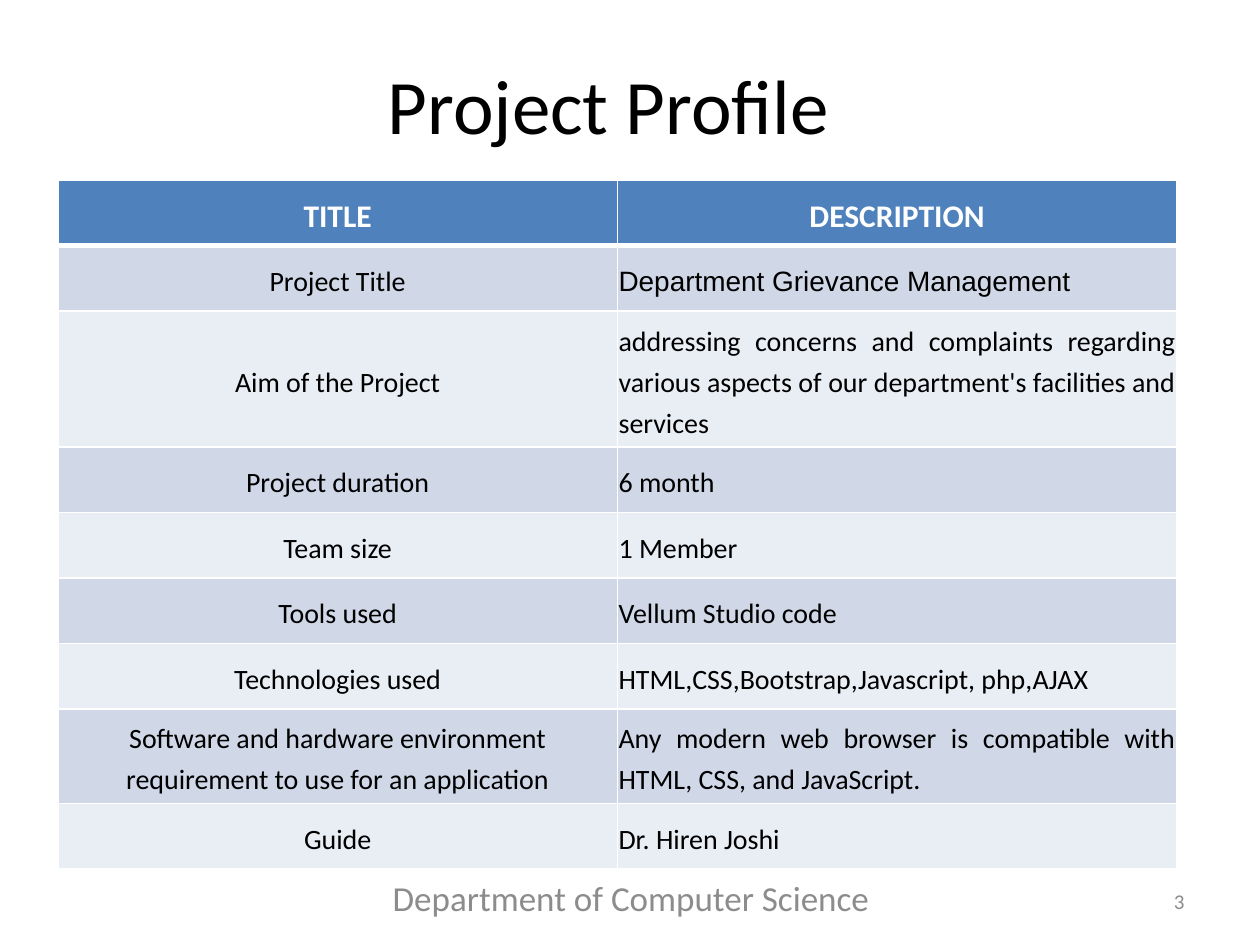
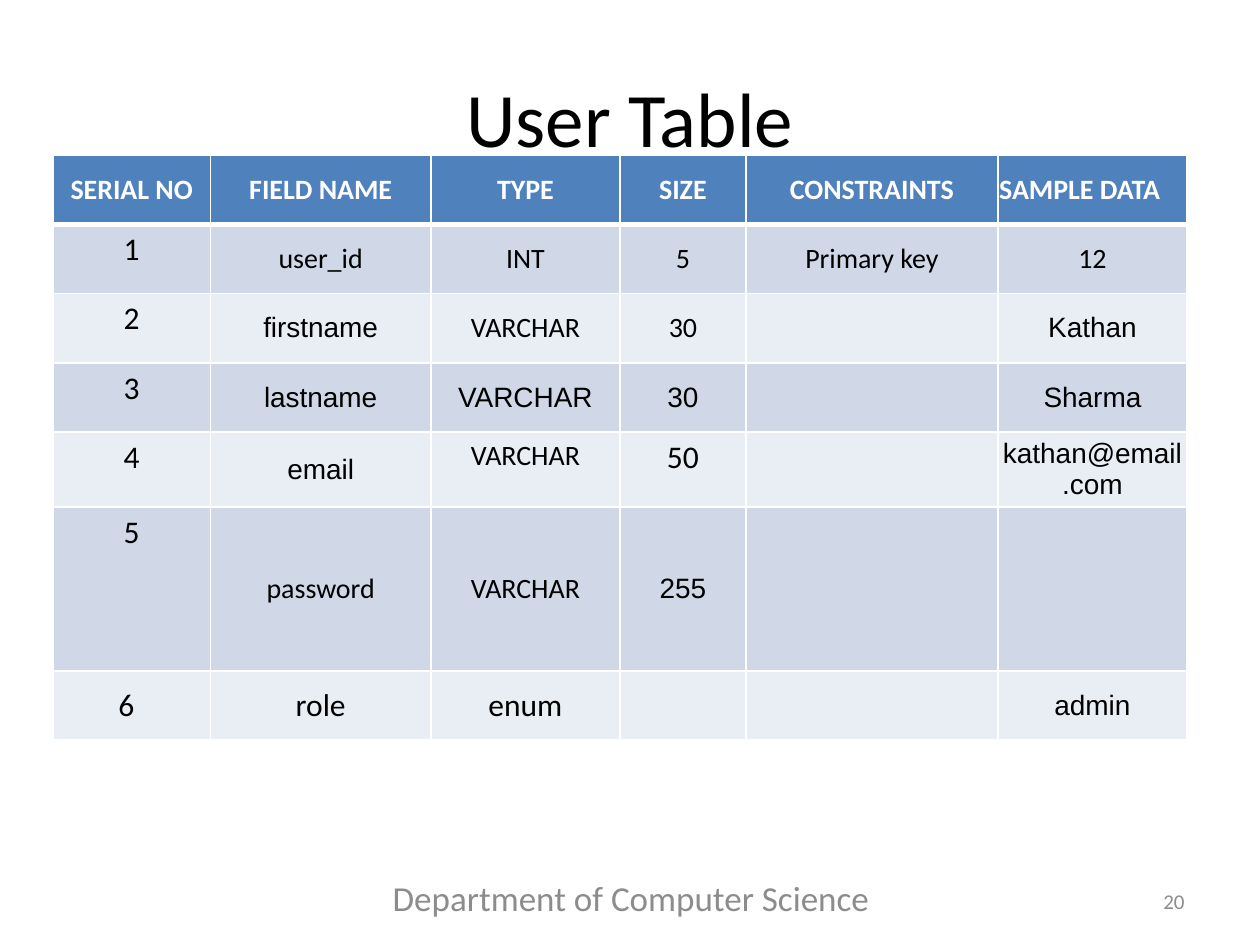
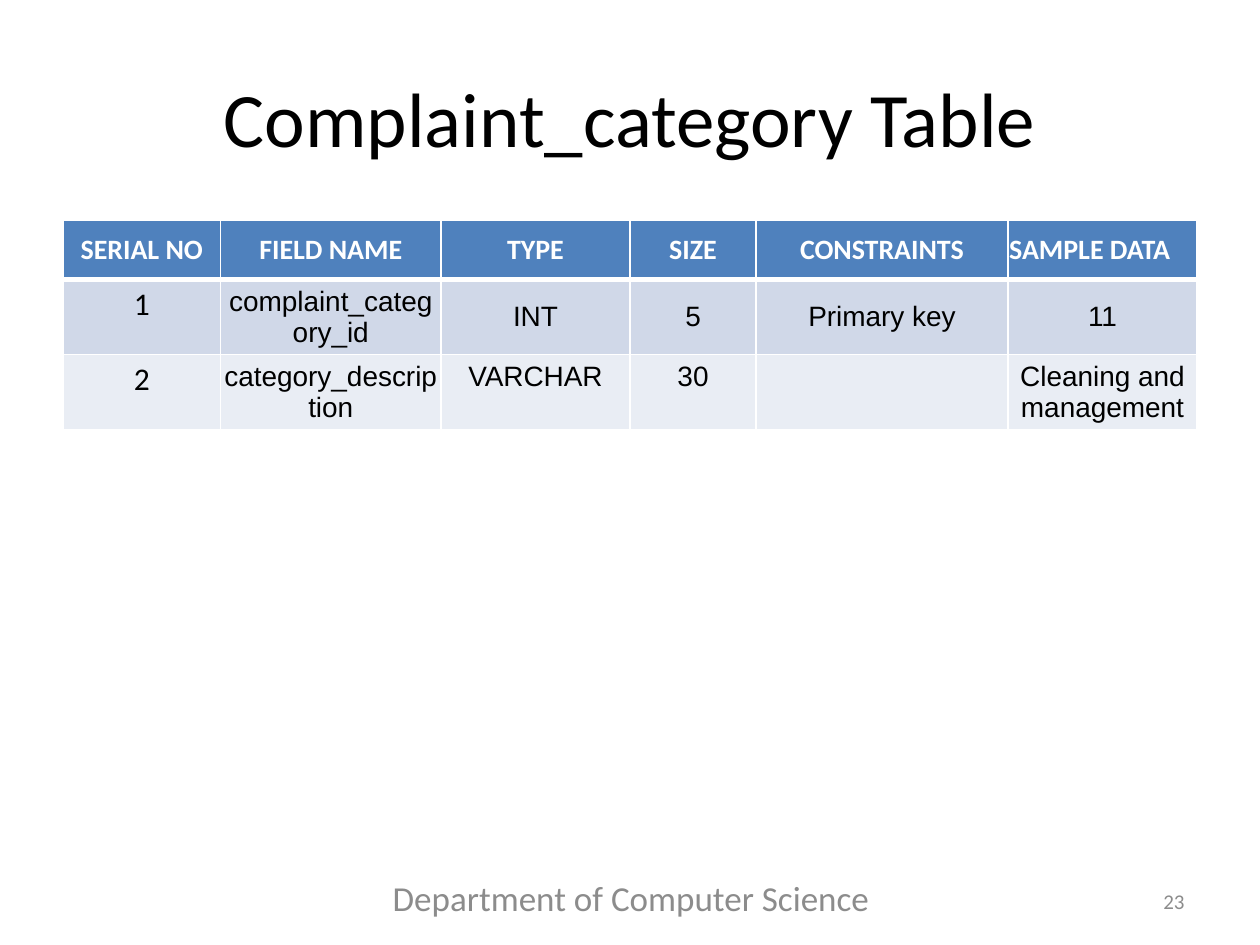
"""Build three project slides, each holding one banded table."""
from lxml.etree import SubElement
from pptx import Presentation
from pptx.dml.color import RGBColor
from pptx.enum.text import MSO_ANCHOR as ANCHOR, PP_ALIGN as ALIGN
from pptx.oxml.ns import qn
from pptx.util import Inches, Pt

BLACK = RGBColor(0x00, 0x00, 0x00)
WHITE = RGBColor(0xFF, 0xFF, 0xFF)
GREY = RGBColor(0x8C, 0x8C, 0x8C)
HEADER_BLUE = RGBColor(0x4F, 0x81, 0xBD)
BANDS = (RGBColor(0xD0, 0xD8, 0xE8), RGBColor(0xE9, 0xED, 0xF4))

FOOTER = "Department of Computer Science "
FOOTER_BOX = (2.83, 6.92, 4.42, 0.4)
NUMBER_BOX = (7.17, 6.95, 2.33, 0.4)

TIGHT = {"margin_left": Inches(0.01), "margin_right": Inches(0.01),
         "vertical_anchor": ANCHOR.MIDDLE}
TOP = {"vertical_anchor": ANCHOR.TOP}
STYLES = {
    "plain": (TIGHT, "Calibri", 16),
    "arial": (TIGHT, "Arial", 16),
    "large": (TIGHT, "Calibri", 18),
    "indented": ({**TIGHT, "margin_left": Inches(0.52)}, "Calibri", 18),
    "top": (TOP, "Calibri", 16),
    "top large": (TOP, "Calibri", 18),
    "top arial": (TOP, "Arial", 16),
}


def arial(text):
    """Mark a cell text as Arial."""
    return text, "arial"


def large(text):
    """Mark a cell text as large."""
    return text, "large"


def serial(text):
    """Mark a cell text as large and set at the top."""
    return text, "top large"


FIELD_HEADER = ["SERIAL NO", "FIELD NAME", "TYPE", "SIZE", "CONSTRAINTS", "SAMPLE DATA"]
FIELD_LAYOUT = {
    "header_size": 16,
    "line_spacing": None,
    "columns": (1.25, 1.75, 1.5, 1, 2, 1.5),
    "header_align": [ALIGN.CENTER] * 5 + [ALIGN.LEFT],
    "body_align": [ALIGN.CENTER] * 6,
}

SLIDES = [
    {
        "title": "Project Profile", "title_box": (0.33, 0.2, 9, 1.25), "number": "3",
        "corner": (0.46, 1.43), "heights": [0.52] * 9,
        "header_size": 18, "line_spacing": 1.2, "columns": (4.44, 4.44),
        "header_align": [ALIGN.CENTER] * 2,
        "body_align": [ALIGN.CENTER, ALIGN.JUSTIFY],
        "rows": [
            ["TITLE", "DESCRIPTION"],
            ["Project Title", arial("Department Grievance Management")],
            ["Aim of the Project",
             "addressing concerns and complaints regarding various aspects of "
             "our department's facilities and services"],
            ["Project duration", "6 month "],
            ["Team size", "1 Member"],
            ["Tools used", "Vellum Studio code"],
            ["Technologies used", "HTML,CSS,Bootstrap,Javascript, php,AJAX"],
            ["Software and hardware environment requirement to use for an application",
             "Any modern web browser is compatible with HTML, CSS, and JavaScript."],
            ["Guide", "Dr. Hiren Joshi"],
        ],
    },
    {
        **FIELD_LAYOUT,
        "title": "User Table", "title_box": (0.5, 0.3, 9, 1.25), "number": "20",
        "corner": (0.42, 1.23), "heights": [0.55] * 5 + [1.3, 0.55],
        "rows": [
            FIELD_HEADER,
            [serial("1"), "user_id", "INT", "5", "Primary key", "12"],
            [serial("2"), arial("firstname"), "VARCHAR", "30", "", arial("Kathan")],
            [serial("3"), arial("lastname"), arial("VARCHAR"), arial("30"), "",
             arial("Sharma")],
            [serial("4"), arial("email"), ("VARCHAR", "top"), serial("50"), "",
             arial("kathan@email.com")],
            [serial("5"), "password", "VARCHAR", arial("255"), "", ""],
            [("6", "indented"), large("role"), large("enum"), "", "", arial("admin")],
        ],
    },
    {
        **FIELD_LAYOUT,
        "title": "Complaint_category Table", "title_box": (0.5, 0.3, 9, 1.25),
        "number": "23", "corner": (0.5, 1.75), "heights": [0.47] * 3,
        "rows": [
            FIELD_HEADER,
            [serial("1"), arial("complaint_category_id"), arial("INT"), arial("5"),
             arial("Primary key"), arial("11")],
            [serial("2"), arial("category_description"), ("VARCHAR", "top arial"),
             ("30", "top arial"), "", arial("Cleaning and management")],
        ],
    },
]


def set_all(target, values):
    """Set each attribute in values on target."""
    for attribute, value in values.items():
        setattr(target, attribute, value)


def write(frame, text, align, size, color, font="Calibri", bold=False, spacing=None):
    """Write one formatted paragraph into a text frame."""
    paragraph = frame.paragraphs[0]
    set_all(paragraph, {"alignment": align, "line_spacing": spacing})
    paragraph.font.size = Pt(size)
    if text:
        run = paragraph.add_run()
        run.text = text
        set_all(run.font, {"name": font, "size": Pt(size), "bold": bold})
        run.font.color.rgb = color


def add_label(slide, box, text, align, size):
    """Add a grey footer text."""
    frame = slide.shapes.add_textbox(*map(Inches, box)).text_frame
    set_all(frame, {"word_wrap": True, "vertical_anchor": ANCHOR.MIDDLE})
    write(frame, text, align, size, GREY)


def add_borders(cell, bottom):
    """Draw white borders around a cell."""
    properties = cell._tc.get_or_add_tcPr()
    for side, width in (("L", 1), ("R", 1), ("T", 1), ("B", bottom)):
        line = SubElement(properties, qn(f"a:ln{side}"), w=str(Pt(width)))
        fill = SubElement(line, qn("a:solidFill"))
        SubElement(fill, qn("a:srgbClr"), val=str(WHITE))


def fill_cell(cell, content, is_header, band, align, spec):
    """Format one table cell and write its text."""
    text, style = (content, "plain") if isinstance(content, str) else content
    layout, font, size = STYLES[style]
    set_all(cell, layout)
    add_borders(cell, 3 if is_header else 1)
    cell.fill.solid()
    cell.fill.fore_color.rgb = HEADER_BLUE if is_header else band
    write(cell.text_frame, text, align, spec["header_size"] if is_header else size,
          WHITE if is_header else BLACK, font, is_header, spec["line_spacing"])


def add_grid(slide, spec):
    """Add the table of a slide."""
    rows, columns, heights = spec["rows"], spec["columns"], spec["heights"]
    extent = (*spec["corner"], sum(columns), sum(heights))
    table = slide.shapes.add_table(len(rows), len(columns), *map(Inches, extent)).table
    for column, width in zip(table.columns, columns):
        column.width = Inches(width)
    for index, (row, height) in enumerate(zip(rows, heights)):
        table.rows[index].height = Inches(height)
        is_header = index == 0
        aligns = spec["header_align" if is_header else "body_align"]
        for position, content in enumerate(row):
            align = ALIGN.LEFT if content == ("6", "indented") else aligns[position]
            fill_cell(table.cell(index, position), content, is_header,
                      BANDS[(index - 1) % 2], align, spec)


def add_slide(deck, spec):
    """Add one slide with title, table and footer."""
    slide = deck.slides.add_slide(deck.slide_layouts[5])
    title = slide.shapes.title
    set_all(title, dict(zip(("left", "top", "width", "height"),
                            map(Inches, spec["title_box"]))))
    title.text_frame.vertical_anchor = ANCHOR.MIDDLE
    write(title.text_frame, spec["title"], ALIGN.CENTER, 44, BLACK)
    add_grid(slide, spec)
    add_label(slide, FOOTER_BOX, FOOTER, ALIGN.CENTER, 20)
    add_label(slide, NUMBER_BOX, spec["number"], ALIGN.RIGHT, 12)


def main():
    """Build and save the deck."""
    deck = Presentation()
    set_all(deck, {"slide_width": Inches(10), "slide_height": Inches(7.5)})
    for spec in SLIDES:
        add_slide(deck, spec)
    deck.save("out.pptx")


if __name__ == "__main__":
    main()
